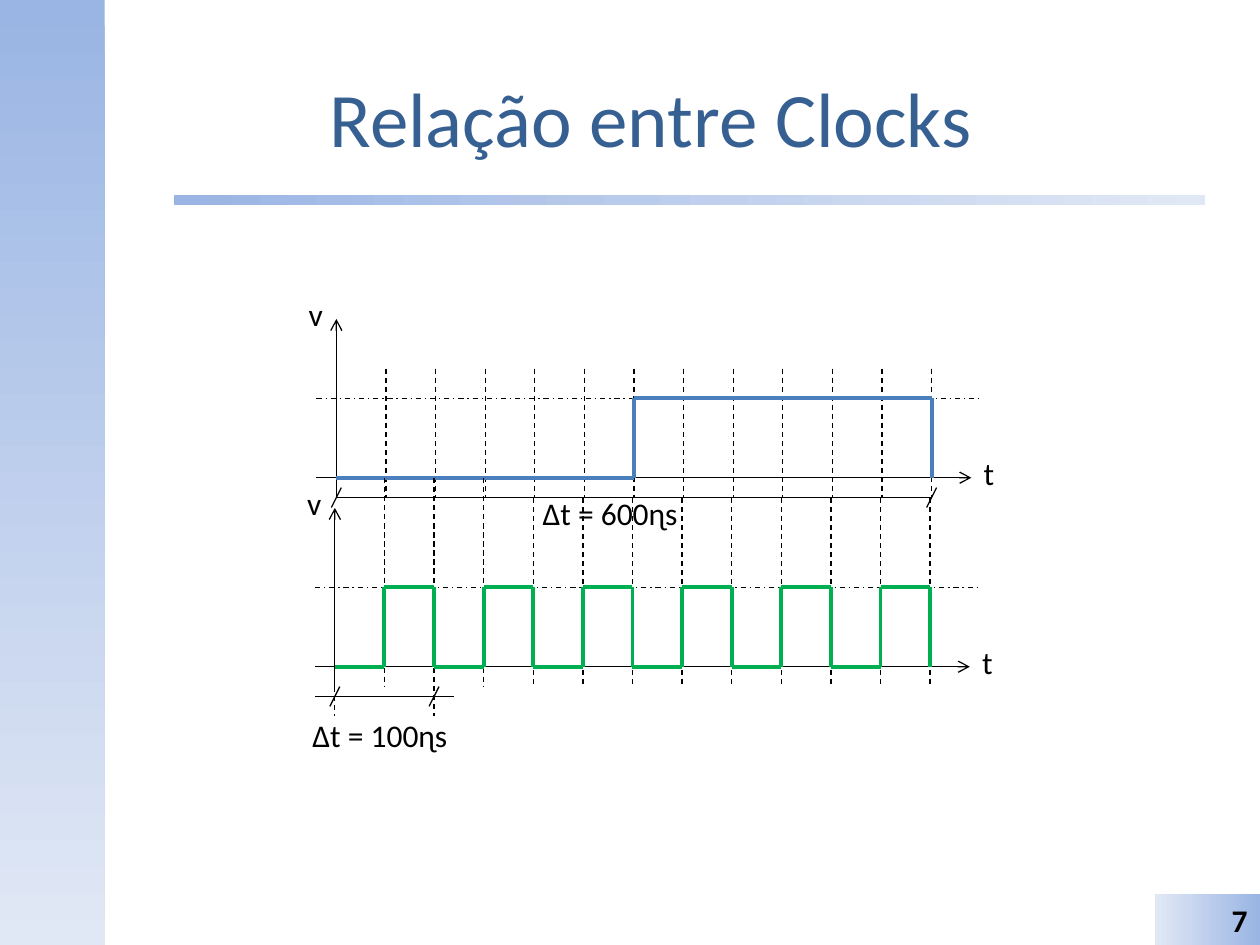
import pptx
import pptx.util
import pptx.dml.color
import pptx.enum.dml
import pptx.enum.shapes
import pptx.enum.text
import pptx.oxml
import pptx.oxml.ns

Cm, Pt = pptx.util.Cm, pptx.util.Pt
SHAPE = pptx.enum.shapes.MSO_SHAPE
DASH = pptx.enum.dml.MSO_LINE
ALIGN = pptx.enum.text.PP_ALIGN
ANCHOR = pptx.enum.text.MSO_ANCHOR

COLORS = {
    "band": "9AB5E4",
    "pale": "E1E8F5",
    "title": "376092",
    "ink": "000000",
    "slow": "4B7EBC",
    "fast": "00B050",
}
STEP, AMPLITUDE = 1, 1.6
PERIODS = 12


def rgb(name):
    return pptx.dml.color.RGBColor.from_string(COLORS[name])


def set_all(obj, values):
    for name, value in values.items():
        setattr(obj, name, value)


def write(sp, text, size=18, color="ink", bold=False, align=ALIGN.LEFT,
          anchor=ANCHOR.TOP, wrap=False):
    tf = sp.text_frame
    set_all(tf, {"word_wrap": wrap, "vertical_anchor": anchor})
    p = tf.paragraphs[0]
    p.alignment = align
    r = p.add_run()
    r.text = text
    set_all(r.font, {"name": "Calibri", "size": Pt(size), "bold": bold})
    r.font.color.rgb = rgb(color)


def add_text(s, box, text, **style):
    sp = s.shapes.add_textbox(*map(Cm, box))
    write(sp, text, **style)


def add_band(s, box, angle, kind=SHAPE.RECTANGLE):
    sp = s.shapes.add_shape(kind, *map(Cm, box))
    sp.shadow.inherit = False
    sp.line.fill.background()
    sp.fill.gradient()
    sp.fill.gradient_angle = angle
    for stop, color in zip(sp.fill.gradient_stops, ("band", "pale")):
        stop.color.rgb = rgb(color)
    return sp


def add_line(s, x1, y1, x2, y2, color="ink", width=0.75, dash=None, arrow=False):
    sp = s.shapes.add_connector(pptx.enum.shapes.MSO_CONNECTOR.STRAIGHT,
                                *map(Cm, (x1, y1, x2, y2)))
    sp.line.color.rgb = rgb(color)
    set_all(sp.line, {"width": Pt(width), "dash_style": dash})
    if arrow:
        tail = pptx.oxml.parse_xml(
            f'<a:tailEnd {pptx.oxml.ns.nsdecls("a")} type="arrow"/>')
        sp.line._get_or_add_ln().append(tail)
    sp._element.spPr.append(
        pptx.oxml.parse_xml(f'<a:effectLst {pptx.oxml.ns.nsdecls("a")}/>'))


def frame(s, width, height):
    side = 2.11
    add_band(s, (0, 0, side, height), 270)
    rule = add_band(s, (3.5, 3.93, 20.8, 0.2), 0, SHAPE.ROUNDED_RECTANGLE)
    rule.adjustments[0] = 0
    add_text(s, (side, 0.76, 22.02, 3.18), "Relação entre Clocks", size=44,
             color="title", align=ALIGN.CENTER, anchor=ANCHOR.MIDDLE, wrap=True)
    number = add_band(s, (width - side, height - 1.02, side, 1.02), 180)
    write(number, "7", bold=True, align=ALIGN.RIGHT, anchor=ANCHOR.MIDDLE, wrap=True)


def timing_diagram(s, x, y, levels, color, grid):
    add_line(s, x - 0.4, y, x + 12.8, y, arrow=True)
    add_line(s, x, y + 0.4, x, y - 3.2, arrow=True)
    for i, (top, bottom) in enumerate(grid, 1):
        add_line(s, x + i * STEP, y + top, x + i * STEP, y + bottom, dash=DASH.DASH)
    add_line(s, x - 0.4, y - AMPLITUDE, x + 13, y - AMPLITUDE, dash=DASH.DASH_DOT)
    for i, (level, following) in enumerate(zip(levels, levels[1:] + [0])):
        left, right = x + i * STEP, x + (i + 1) * STEP
        here, there = y - level * AMPLITUDE, y - following * AMPLITUDE
        add_line(s, left, here, right, here, color, 2.25)
        if here != there:
            add_line(s, right, here, right, there, color, 2.25)
    add_text(s, (x + 12.8, y - 0.6, 0.74, 1.02), "t")
    add_text(s, (x - 0.81, y - 3.8, 0.81, 1.02), "v")


def dimension(s, x, y, length, overhang, label, label_box):
    add_line(s, x - overhang, y, x + length + overhang, y)
    for end in (x, x + length):
        add_line(s, end + 0.1, y - 0.2, end - 0.1, y + 0.2)
    dx, dy, w, h = label_box
    add_text(s, (x + dx, y + dy, w, h), label)


def main():
    prs = pptx.Presentation()
    width, height = 25.4, 19.05
    set_all(prs, {"slide_width": Cm(width), "slide_height": Cm(height)})
    s = prs.slides.add_slide(prs.slide_layouts[6])
    frame(s, width, height)

    slow_x, slow_y = 6.78, 9.63
    fast_x, fast_y = 6.75, 13.44
    half = PERIODS // 2
    slow_grid = [(-2.2, 0.4)] * PERIODS
    fast_grid = [(-3.8 if i < 3 else -3.4, 1 if i == 1 else 0.4)
                 for i in range(PERIODS)]
    timing_diagram(s, slow_x, slow_y, [0] * half + [1] * half, "slow", slow_grid)
    timing_diagram(s, fast_x, fast_y, [0, 1] * half, "fast", fast_grid)
    add_line(s, fast_x, fast_y - AMPLITUDE, fast_x, fast_y + 1, dash=DASH.DASH)
    dimension(s, slow_x, slow_y + 0.4, PERIODS * STEP, 0, "∆t = 600ɳs",
              (3.91, -0.2, 3.28, 1.02))
    dimension(s, fast_x, fast_y + 0.6, 2 * STEP, 0.4, "∆t = 100ɳs",
              (-0.7, 0.26, 3.28, 1.02))
    prs.save("out.pptx")


if __name__ == "__main__":
    main()
